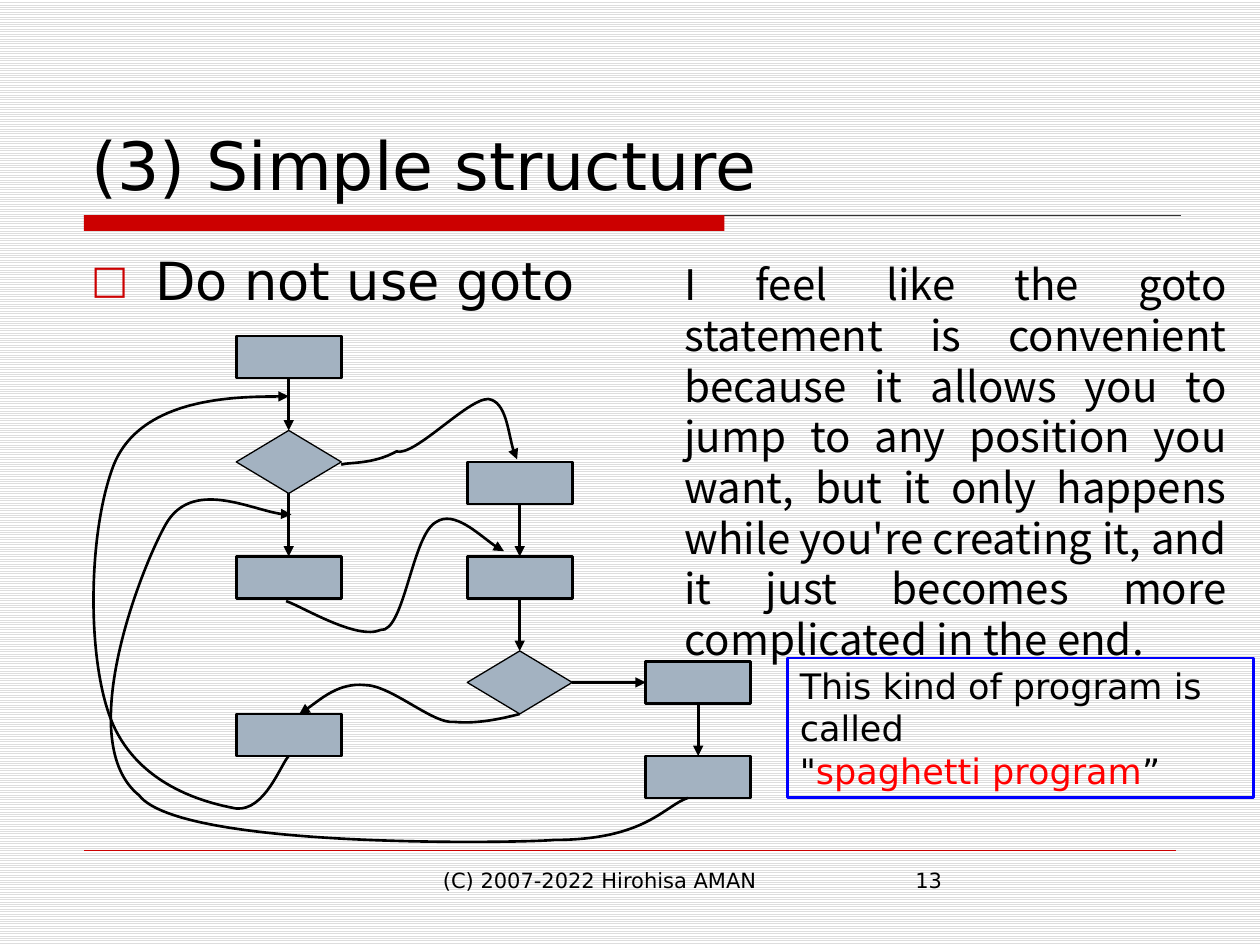
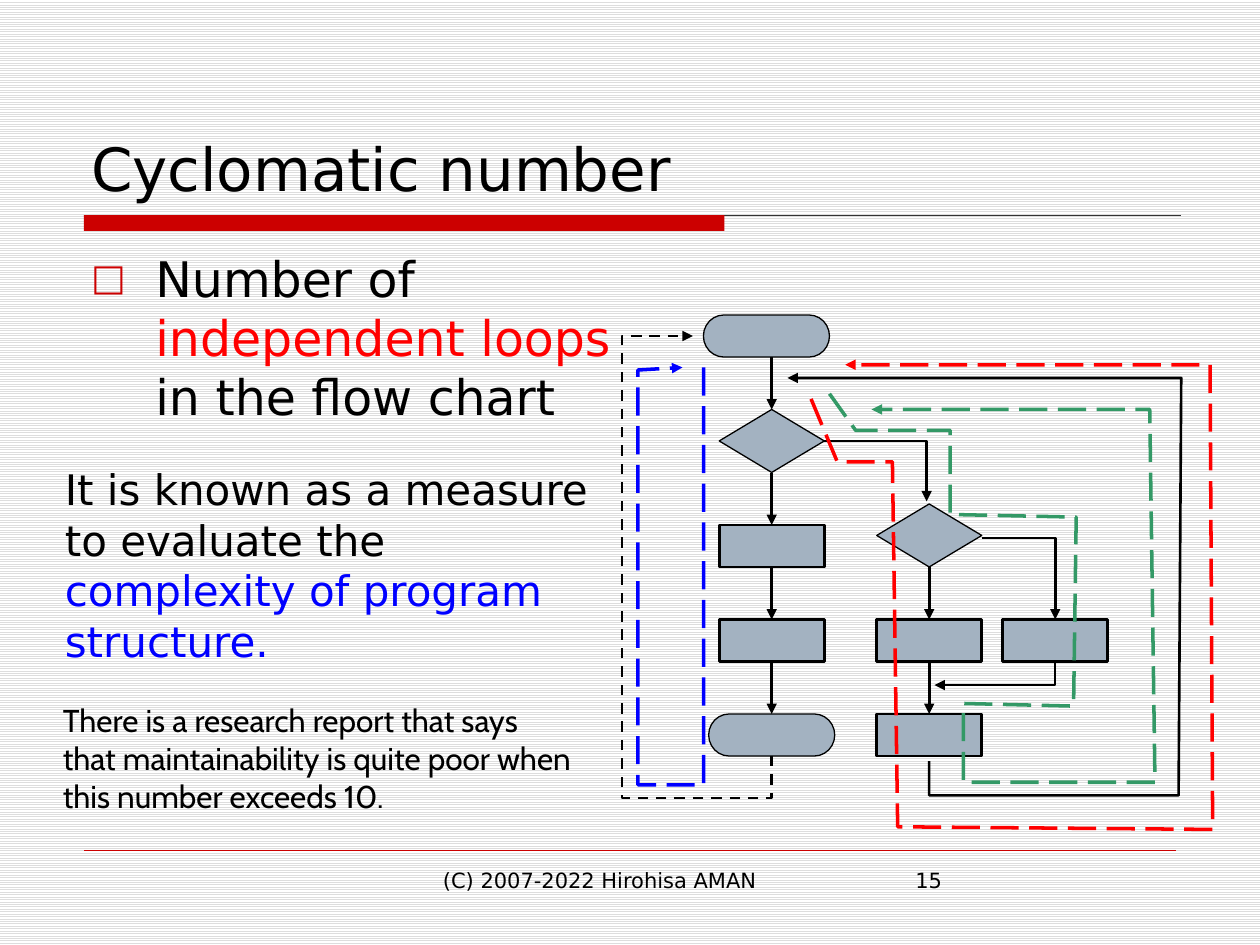
import pptx
import pptx.dml.color
import pptx.enum.dml
import pptx.enum.shapes
import pptx.enum.text
import pptx.oxml.ns
import pptx.util
from lxml import etree

qn = pptx.oxml.ns.qn
SHAPE = pptx.enum.shapes.MSO_SHAPE
DASH = pptx.enum.dml.MSO_LINE
STRAIGHT = pptx.enum.shapes.MSO_CONNECTOR.STRAIGHT
BOTTOM = pptx.enum.text.MSO_ANCHOR.BOTTOM
JUSTIFY = pptx.enum.text.PP_ALIGN.JUSTIFY

BLACK, RED, BLUE, GREEN = "000000", "FF0000", "0000FF", "339966"
ACCENT, RULE, NODE_FILL = "CC0000", "333333", "A3B2C1"
SANS, CJK, CABIN = "DejaVu Sans", "Noto Sans CJK JP", "Cabin"
LEADING = 1.21

deck = pptx.Presentation()
deck.slide_width = pptx.util.Inches(10)
deck.slide_height = pptx.util.Inches(7.5)
# The slide is a grid of 240 columns and 180 rows.
CELL = deck.slide_width // 240


def rgb(hex_code):
    return pptx.dml.color.RGBColor.from_string(hex_code)


def draw_line(shape, color, width, dash=None, arrow=False):
    """Style the line of a shape or connector and remove its shadow."""
    shape.line.color.rgb = rgb(color)
    shape.line.width = pptx.util.Pt(width)
    if dash:
        shape.line.dash_style = dash
    if arrow:
        etree.SubElement(shape.line._get_or_add_ln(), qn("a:tailEnd"), type="triangle")
    etree.SubElement(shape.element.spPr, qn("a:effectLst"))


# Node kinds: shape, columns, rows, line width
NODE_KINDS = {
    "step": (SHAPE.FLOWCHART_PROCESS, 20, 8, 1.5),
    "test": (SHAPE.FLOWCHART_DECISION, 20, 12, 0.75),
    "end": (SHAPE.FLOWCHART_TERMINATOR, 24, 8, 0.75),
}

# Nodes: name -> (kind, centre column, top row)
# Links: (from, side, to, side)
# Routes: (curved, color, width, dash, points)
# Texts: (left, top, width, height, size, font, paragraphs of runs, options)
spaghetti = {
    "number": "13",
    "nodes": {
        "start": ("step", 55, 64),
        "first test": ("test", 55, 82),
        "left step": ("step", 55, 106),
        "left last": ("step", 55, 136),
        "middle step": ("step", 99, 88),
        "middle next": ("step", 99, 106),
        "second test": ("test", 99, 124),
        "right step": ("step", 133, 126),
        "right last": ("step", 133, 144),
    },
    "links": [
        ("start", 2, "first test", 0),
        ("first test", 2, "left step", 0),
        ("middle step", 2, "middle next", 0),
        ("middle next", 2, "second test", 0),
        ("second test", 3, "right step", 1),
        ("right step", 2, "right last", 0),
    ],
    "routes": [
        (True, BLACK, 1.5, None, points) for points in [
            [(54.5, 114.5), (57.5, 115.5), (68, 122), (72.5, 120), (77, 120.5),
             (78.5, 102), (83, 99.5), (86.5, 97), (93.5, 104), (96, 105)],
            [(55, 144), (53.5, 145.5), (50.5, 154.5), (45, 154), (39.5, 153),
             (27.5, 150), (22, 139), (16.5, 128), (16.5, 102.5), (21.5, 89),
             (26.5, 75.5), (48.5, 75.5), (55, 75.5)],
            [(99, 136), (97, 136.5), (91.5, 138), (86.5, 137.5), (82.5, 138),
             (74.5, 130.5), (69.5, 130.5), (64.5, 130), (59.5, 134.5), (57, 136)],
            [(65, 88.5), (66.5, 88), (71, 88.5), (75.5, 86), (79, 87),
             (89, 76), (93, 76), (96.5, 76.5), (97, 85), (98.5, 87.5)],
            [(131, 152), (126.5, 153.5), (123, 160), (105.5, 160), (101.5, 160.5),
             (34.5, 162), (26.5, 151.5), (14, 141.5), (26.5, 109), (31.5, 100),
             (36.5, 91), (50.5, 98.5), (55.5, 98)],
        ]
    ],
    "texts": [
        (15, 8, 210, 32, 38, SANS, [[("(3) Simple structure", BLACK)]], {"anchor": BOTTOM}),
        (15, 46, 210, 112, 30, SANS, [[("Do not use goto", BLACK)]], {"bullet": True}),
        (128, 48, 108, 70, 24, CJK, [[(
            "I feel like the goto statement is convenient because it allows you to jump "
            "to any position you want, but it only happens while you're creating it, "
            "and it just becomes more complicated in the end.", BLACK)]], {"align": JUSTIFY}),
        (150, 125.3, 88.8, 26.6, 20, SANS, [
            [("This kind of program is called", BLACK)],
            [('"', BLACK), ("spaghetti program", RED), ("”", BLACK)]], {"border": BLUE}),
    ],
}

cyclomatic = {
    "number": "15",
    "nodes": {
        "start": ("end", 146, 60),
        "first test": ("test", 147, 78),
        "left step": ("step", 147, 100),
        "left last": ("step", 147, 118),
        "finish": ("end", 147, 136),
        "second test": ("test", 177, 96),
        "middle step": ("step", 177, 118),
        "right step": ("step", 201, 118),
        "middle last": ("step", 177, 136),
    },
    "links": [
        ("start", 2, "first test", 0),
        ("first test", 2, "left step", 0),
        ("left step", 2, "left last", 0),
        ("left last", 2, "finish", 0),
        ("second test", 2, "middle step", 0),
        ("middle step", 2, "middle last", 0),
    ],
    "routes": [
        (False, BLACK, 1.5, DASH.DASH,
         [(147, 144), (147, 152), (118.5, 152), (118.5, 64), (132, 64)]),
        (False, BLACK, 1.5, None,
         [(177, 145), (177, 151.5), (224.5, 151.5), (225, 72), (150, 72)]),
        (False, BLACK, 1.5, None, [(187, 102.5), (201, 102.5), (201, 118)]),
        (False, BLACK, 1.5, None, [(201, 126), (201, 130.5), (178, 130.5)]),
        (False, BLACK, 1.5, None, [(157, 84), (176.5, 84), (176.5, 95.5)]),
        (False, BLUE, 2, DASH.LONG_DASH,
         [(134, 70), (134, 149.5), (121.5, 149.5), (121.5, 70.5), (130, 70)]),
        (False, RED, 2, DASH.LONG_DASH,
         [(154.5, 76), (159.5, 88), (170, 88), (171, 157.5), (231, 158),
          (230.5, 69.5), (161, 69.5)]),
        (False, GREEN, 2, DASH.LONG_DASH,
         [(158, 75), (163, 82), (181, 82), (181, 98), (205, 98.5), (204.5, 134.5),
          (183.5, 134), (183.5, 149), (220, 149), (219, 78), (166, 78)]),
    ],
    "texts": [
        (15, 8, 210, 32, 34, SANS, [[("Cyclomatic number", BLACK)]], {"anchor": BOTTOM}),
        (15, 46, 105, 112, 28, SANS, [[
            ("Number of ", BLACK), ("independent loops ", RED),
            ("in the flow chart", BLACK)]], {"bullet": True}),
        (10, 87, 108, 41, 24, SANS, [[
            ("It is known as a measure to evaluate the ", BLACK),
            ("complexity of program structure.", BLUE)]], {}),
        (9.6, 132.2, 102, 24, 18, CABIN, [[(
            "There is a research report that says that maintainability is quite poor "
            "when this number exceeds 10.", BLACK)]], {}),
    ],
}

for content in (spaghetti, cyclomatic):
    slide = deck.slides.add_slide(deck.slide_layouts[6])
    shapes = slide.shapes
    backdrop = slide.background.fill
    backdrop.patterned()
    backdrop.pattern = pptx.enum.dml.MSO_PATTERN.LIGHT_HORIZONTAL
    backdrop.fore_color.rgb = rgb("DDDDDD")
    backdrop.back_color.rgb = rgb("FFFFFF")

    # Title rule, footer rule and title band
    for right, row, color, width in [(225, 41, RULE, 0.75), (224, 162, ACCENT, 0.25)]:
        rule = shapes.add_connector(STRAIGHT, 16 * CELL, row * CELL, right * CELL, row * CELL)
        draw_line(rule, color, width)
    band = shapes.add_shape(SHAPE.RECTANGLE, 16 * CELL, 41 * CELL, 122 * CELL, 3 * CELL)
    band.shadow.inherit = False
    band.fill.solid()
    band.fill.fore_color.rgb = rgb(ACCENT)
    band.line.fill.background()

    nodes = {}
    for name, (kind, centre, top) in content["nodes"].items():
        preset, columns, rows, width = NODE_KINDS[kind]
        node = shapes.add_shape(preset, int((centre - columns / 2) * CELL), top * CELL,
                                columns * CELL, rows * CELL)
        draw_line(node, BLACK, width)
        node.fill.solid()
        node.fill.fore_color.rgb = rgb(NODE_FILL)
        nodes[name] = node

    for origin, origin_side, target, target_side in content["links"]:
        centre = content["nodes"][target][1] * CELL
        source = nodes[origin]
        link = shapes.add_connector(STRAIGHT, centre, source.top + source.height,
                                    centre, nodes[target].top)
        # A start that is off the target's centre line stays free, so the link is upright.
        if origin_side == 3 or content["nodes"][origin][1] == content["nodes"][target][1]:
            link.begin_connect(source, origin_side)
        link.end_connect(nodes[target], target_side)
        draw_line(link, BLACK, 1.5, arrow=True)

    for curved, color, width, dash, points in content["routes"]:
        start, *rest = [(x * CELL, y * CELL) for x, y in points]
        outline = shapes.build_freeform(*start)
        outline.add_line_segments(rest, close=False)
        route = outline.convert_to_shape()
        if curved:
            # Each three points become the two handles and the end of one curve.
            segments = route.element.xpath(".//a:lnTo")
            for i in range(0, len(segments), 3):
                curve, *others = segments[i:i + 3]
                curve.tag = qn("a:cubicBezTo")
                for segment in others:
                    curve.append(segment[0])
                    segment.getparent().remove(segment)
        route.fill.background()
        draw_line(route, color, width, dash, arrow=True)

    footers = [
        (82, 164, 76, 12.5, 12, SANS, [[("(C) 2007-2022 Hirohisa AMAN", BLACK)]], {}),
        (172, 164, 52, 12.5, 12, SANS, [[(content["number"], BLACK)]], {}),
    ]
    for *area, size, font, paragraphs, options in content["texts"] + footers:
        box = shapes.add_textbox(*[int(length * CELL) for length in area])
        if "border" in options:
            draw_line(box, options["border"], 1.5)
        frame = box.text_frame
        frame.word_wrap = True
        if "anchor" in options:
            frame.vertical_anchor = options["anchor"]
        for index, runs in enumerate(paragraphs):
            paragraph = frame.add_paragraph() if index else frame.paragraphs[0]
            paragraph.line_spacing = pptx.util.Pt(round(size * LEADING, 1))
            if "align" in options:
                paragraph.alignment = options["align"]
            if "bullet" in options:
                props = paragraph._p.get_or_add_pPr()
                indent = pptx.util.Inches(0.51)
                props.set("marL", str(indent))
                props.set("indent", str(-indent))
                bullet_color = etree.SubElement(props, qn("a:buClr"))
                etree.SubElement(bullet_color, qn("a:srgbClr"), val=ACCENT)
                etree.SubElement(props, qn("a:buSzPct"), val="75000")
                etree.SubElement(props, qn("a:buFont"), typeface=SANS)
                etree.SubElement(props, qn("a:buChar"), char="□")
            paragraph.font.size = pptx.util.Pt(size)
            paragraph.font.name = font
            if len(runs) == 1:
                paragraph.font.color.rgb = rgb(runs[0][1])
            for text, color in runs:
                run = paragraph.add_run()
                run.text = text
                if len(runs) > 1:
                    run.font.color.rgb = rgb(color)

deck.save("out.pptx")
